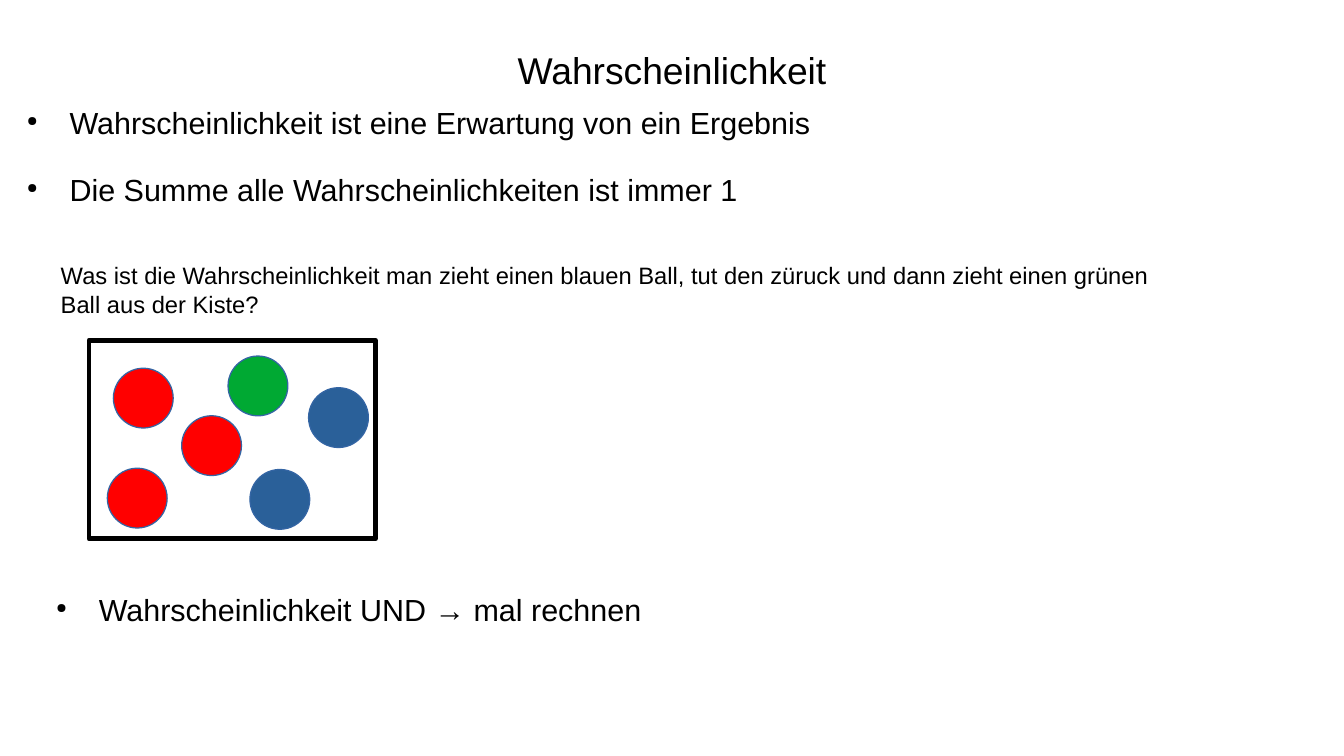
from dataclasses import dataclass

from lxml.etree import SubElement
from pptx import Presentation
from pptx.dml.color import RGBColor
from pptx.enum.shapes import MSO_SHAPE
from pptx.enum.text import MSO_ANCHOR, PP_ALIGN
from pptx.oxml.ns import qn
from pptx.util import Inches, Pt

BLACK = RGBColor(0x00, 0x00, 0x00)
WHITE = RGBColor(0xFF, 0xFF, 0xFF)
RED = RGBColor(0xFF, 0x00, 0x00)
BLUE = RGBColor(0x2A, 0x60, 0x99)
GREEN = RGBColor(0x00, 0xA9, 0x33)
OUTLINE = RGBColor(0x34, 0x65, 0xA4)

# Grid of 100 columns by 100 rows
SLIDE_WIDTH, SLIDE_HEIGHT = Inches(11.02), Inches(6.2)
COLUMN, ROW = SLIDE_WIDTH / 100, SLIDE_HEIGHT / 100
BALL_COLUMNS = 4.45
BALL_ROWS = BALL_COLUMNS * COLUMN / ROW


@dataclass
class Area:
    column: float
    row: float
    columns: float
    rows: float

    def lengths(self) -> tuple[int, ...]:
        return (int(self.column * COLUMN), int(self.row * ROW),
                int(self.columns * COLUMN), int(self.rows * ROW))


@dataclass
class TextBlock:
    area: Area
    lines: list[str]
    size: float
    centred: bool = False
    bulleted: bool = False
    padding: tuple[float, float] = (0, 0)


@dataclass
class Ball:
    column: float
    row: float
    colour: RGBColor


TEXT_BLOCKS = [
    TextBlock(Area(5, 4.03, 90, 10.32), ["Wahrscheinlichkeit"], 22, centred=True),
    TextBlock(Area(0.91, 13.71, 90, 58.06),
              ["Wahrscheinlichkeit ist eine Erwartung von ein Ergebnis",
               "Die Summe alle Wahrscheinlichkeiten ist immer 1"],
              18, bulleted=True),
    TextBlock(Area(3.63, 33.71, 84.57, 10.65),
              ["Was ist die Wahrscheinlichkeit man zieht einen blauen Ball, "
               "tut den züruck und dann zieht einen grünen Ball aus der Kiste?"],
              14, padding=(0.1, 0.05)),
    TextBlock(Area(3.09, 78.23, 90, 18.06),
              ["Wahrscheinlichkeit UND → mal rechnen"], 18, bulleted=True),
]
CRATE = Area(6.62, 45, 21.32, 26.29)
BALLS = [
    Ball(7.99, 61.94, RED),
    Ball(18.6, 62.1, BLUE),
    Ball(13.52, 55, RED),
    Ball(22.96, 51.29, BLUE),
    Ball(8.44, 48.71, RED),
    Ball(16.97, 47.1, GREEN),
]


def add_bullet(paragraph) -> None:
    properties = paragraph._p.get_or_add_pPr()
    properties.set("marL", str(Inches(0.47)))
    properties.set("indent", str(Inches(-0.35)))
    colour = SubElement(properties, qn("a:buClr"))
    SubElement(colour, qn("a:srgbClr"), val=str(BLACK))
    SubElement(properties, qn("a:buSzPct"), val="45000")
    SubElement(properties, qn("a:buChar"), char="●")


def add_text(slide, block: TextBlock) -> None:
    frame = slide.shapes.add_textbox(*block.area.lengths()).text_frame
    side, top = (Inches(value) for value in block.padding)
    frame_format = {
        "word_wrap": True,
        "vertical_anchor": MSO_ANCHOR.MIDDLE if block.centred else MSO_ANCHOR.TOP,
        "margin_left": side, "margin_right": side,
        "margin_top": top, "margin_bottom": top,
    }
    for name, value in frame_format.items():
        setattr(frame, name, value)

    for index, line in enumerate(block.lines):
        paragraph = frame.paragraphs[0] if index == 0 else frame.add_paragraph()
        paragraph.alignment = PP_ALIGN.CENTER if block.centred else PP_ALIGN.LEFT
        if index:
            paragraph.space_before = Pt(18)
        if block.bulleted:
            add_bullet(paragraph)
        run = paragraph.add_run()
        run.text = line
        for name, value in {"name": "Arial", "size": Pt(block.size)}.items():
            setattr(run.font, name, value)
        run.font.color.rgb = BLACK


def add_figure(slide, kind: MSO_SHAPE, area: Area, fill: RGBColor,
               line: RGBColor, line_width: float) -> None:
    shape = slide.shapes.add_shape(kind, *area.lengths())
    shape.shadow.inherit = False
    shape.fill.solid()
    shape.fill.fore_color.rgb = fill
    shape.line.color.rgb = line
    shape.line.width = Pt(line_width)


def main() -> None:
    presentation = Presentation()
    presentation.slide_width, presentation.slide_height = SLIDE_WIDTH, SLIDE_HEIGHT
    slide = presentation.slides.add_slide(presentation.slide_layouts[6])

    # Title, rules and question
    for block in TEXT_BLOCKS:
        add_text(slide, block)

    # Crate with balls
    add_figure(slide, MSO_SHAPE.RECTANGLE, CRATE, WHITE, BLACK, 2.83)
    for ball in BALLS:
        area = Area(ball.column, ball.row, BALL_COLUMNS, BALL_ROWS)
        add_figure(slide, MSO_SHAPE.OVAL, area, ball.colour, OUTLINE, 0)

    presentation.save("out.pptx")


if __name__ == "__main__":
    main()
